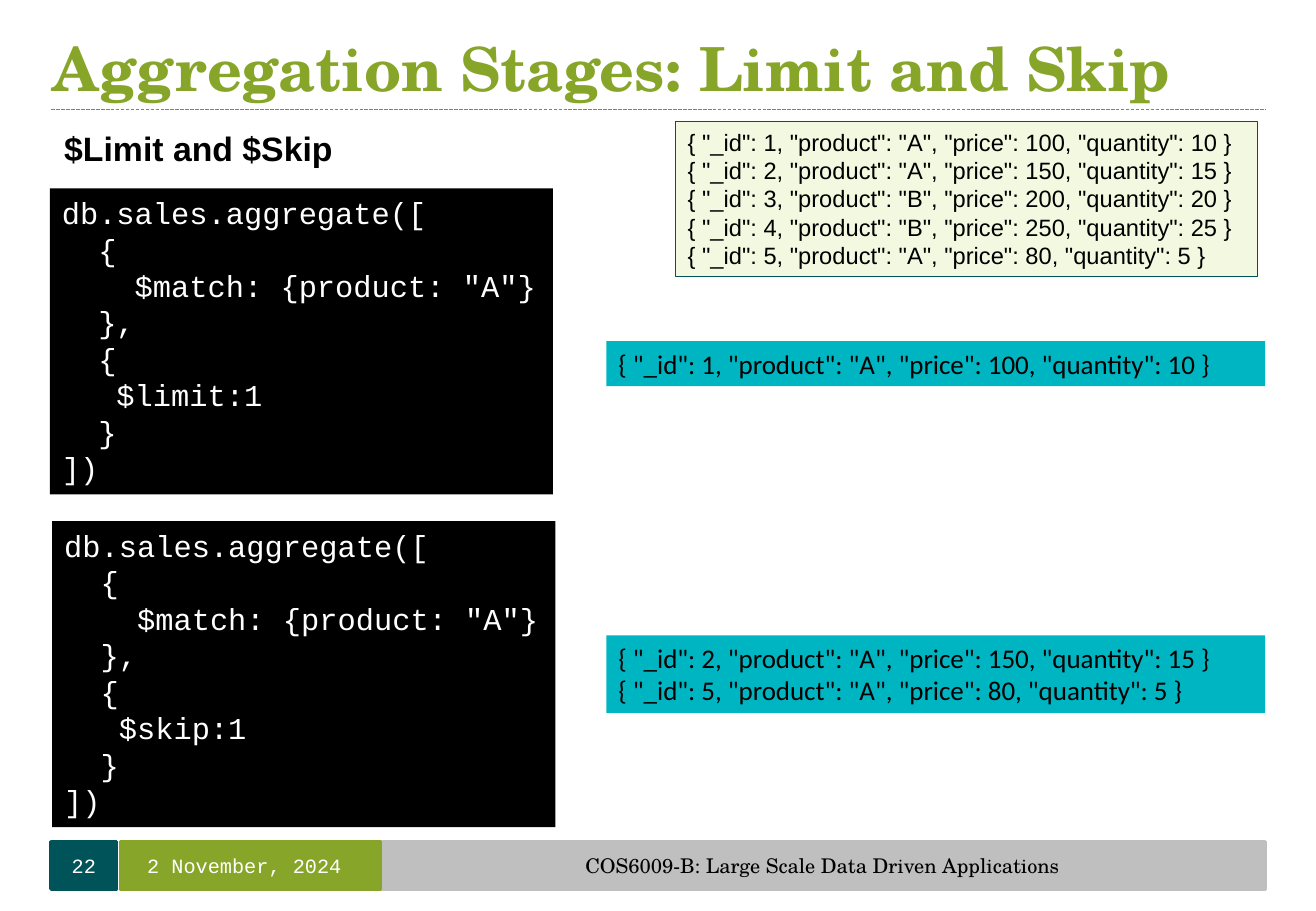
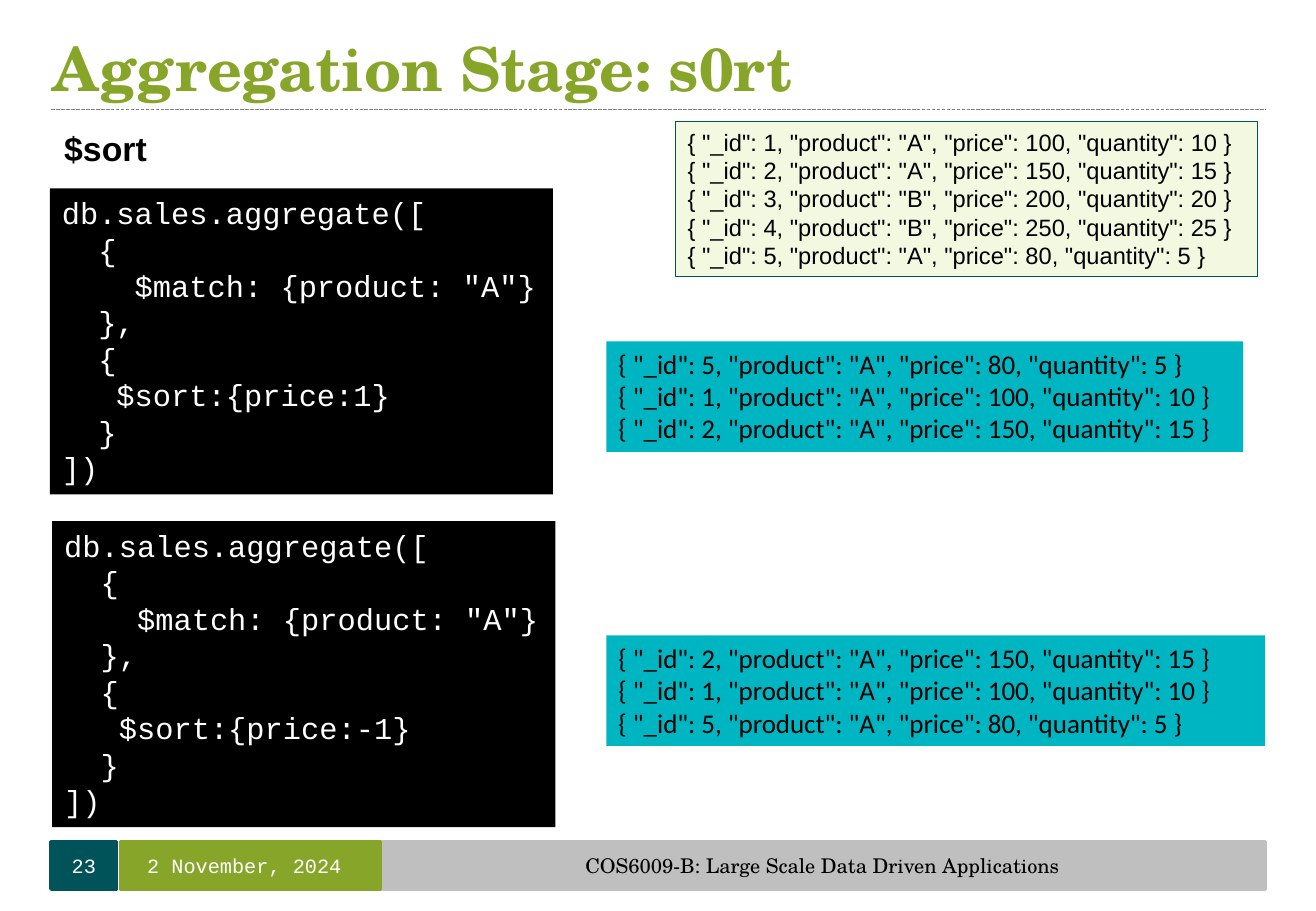
from dataclasses import dataclass

from lxml.etree import SubElement
from pptx import Presentation
from pptx.dml.color import RGBColor
from pptx.enum.dml import MSO_LINE
from pptx.enum.shapes import MSO_CONNECTOR, MSO_SHAPE
from pptx.enum.text import MSO_ANCHOR, MSO_AUTO_SIZE, PP_ALIGN
from pptx.oxml.ns import qn
from pptx.util import Inches, Pt

COLORS = {
    "teal": "005359", "green": "87A529", "grey": "BFBFBF", "rule": "7F7F7F",
    "cream": "F2F9E0", "cyan": "00B5C2", "black": "000000", "white": "FFFFFF",
}
SERIF, SANS, MONO, BODY = "TeX Gyre Schola", "Arial", "Courier New", "Calibri"
INSETS = (0.1, 0.05, 0.1, 0.05)
FLUSH = (0, 0, 0, 0)
CODE_SIZE = 18
CODE_CHAR = 0.6 * CODE_SIZE
DATE = "2 November, 2024"
COURSE = "COS6009-B: Large Scale Data Driven Applications"

SALES = {1: ("A", 100, 10), 2: ("A", 150, 15), 3: ("B", 200, 20),
         4: ("B", 250, 25), 5: ("A", 80, 5)}

SLIDES = [
    {"number": 22, "title": "Aggregation Stages: Limit and Skip",
     "heading": "$Limit and $Skip",
     "examples": [("$limit:1", [1], 54.2), ("$skip:1", [2, 5], 54.2)]},
    {"number": 23, "title": "Aggregation Stage: s0rt", "heading": "$sort",
     "examples": [("$sort:{price:1}", [5, 1, 2], 52.4),
                  ("$sort:{price:-1}", [2, 1, 5], 54.2)]},
]


@dataclass
class Box:
    x: float
    y: float
    w: float
    h: float

    def share(self, x, y, w, h):
        return Box(self.x + self.w * x / 100, self.y + self.h * y / 100,
                   self.w * w / 100, self.h * h / 100)

    def emu(self):
        return [Inches(v) for v in (self.x, self.y, self.w, self.h)]


PAGE = Box(0, 0, 10.83, 7.5)


def rgb(name):
    return RGBColor.from_string(COLORS[name])


def write(sp, lines, font=SANS, size=12, color="black", bold=False,
          align=PP_ALIGN.LEFT, anchor=MSO_ANCHOR.TOP, insets=INSETS,
          spacing=None, indents=None):
    tf = sp.text_frame
    tf.word_wrap = True
    tf.auto_size = MSO_AUTO_SIZE.NONE
    tf.vertical_anchor = anchor
    tf.margin_left, tf.margin_top, tf.margin_right, tf.margin_bottom = map(Inches, insets)
    for i, line in enumerate(lines):
        p = tf.paragraphs[0] if i == 0 else tf.add_paragraph()
        p.alignment = align
        if spacing:
            p.line_spacing = Pt(spacing * size)
        if indents:
            p._p.get_or_add_pPr().set("marL", str(Pt(indents[i])))
        r = p.add_run()
        r.text = line
        r.font.name, r.font.size, r.font.bold = font, Pt(size), bold
        r.font.color.rgb = rgb(color)


def panel(s, box, fill, line=None, width=0.75):
    sp = s.shapes.add_shape(MSO_SHAPE.RECTANGLE, *box.emu())
    sp.shadow.inherit = False
    sp.fill.solid()
    sp.fill.fore_color.rgb = rgb(fill)
    if line:
        sp.line.color.rgb = rgb(line)
        sp.line.width = Pt(width)
    else:
        sp.line.fill.background()
    return sp


def documents(ids):
    return ['{ "_id": %d, "product": "%s", "price": %d, "quantity": %d }' % (i, *SALES[i])
            for i in ids]


def header(s, box, title):
    sp = s.shapes.title
    sp.left, sp.top, sp.width, sp.height = box.share(0.1, 14.4, 92.7, 93.3).emu()
    write(sp, [title], font=SERIF, size=36, color="green", bold=True,
          anchor=MSO_ANCHOR.MIDDLE, insets=FLUSH)
    x, y, w, h = box.emu()
    rule = s.shapes.add_connector(MSO_CONNECTOR.STRAIGHT, x, y + h, x + w, y + h)
    rule.line.color.rgb = rgb("rule")
    rule.line.width = Pt(0.75)
    rule.line.dash_style = MSO_LINE.SQUARE_DOT
    SubElement(rule._element.spPr, qn("a:effectLst"))


def footer(s, box, number):
    bands = [
        (0, 5.4, "teal", str(number), MONO, "white", FLUSH),
        (27.13, 72.87, "grey", COURSE, SERIF, "black", (0.12, 0, 0.12, 0)),
        (5.7, 21.43, "green", DATE, MONO, "white", (0, 0, 0.1, 0)),
    ]
    for x, w, fill, text, font, color, insets in bands:
        sp = panel(s, box.share(x, 0, w, 100), fill, line=fill, width=2)
        write(sp, [text], font=font, color=color, align=PP_ALIGN.CENTER,
              anchor=MSO_ANCHOR.MIDDLE, insets=insets)


def code(s, box, stage):
    rows = [(0, "db.sales.aggregate(["), (2, "{"), (4, '$match: {product: "A"}'),
            (2, "},"), (2, "{"), (3, stage), (2, "}"), (0, "])")]
    write(panel(s, box, "black"), [text for _, text in rows], font=MONO,
          size=CODE_SIZE, color="white", spacing=1.2,
          indents=[n * CODE_CHAR for n, _ in rows])


def content(s, box, heading, examples):
    sp = s.shapes.add_textbox(*box.share(0.2, 0, 27, 7.57).emu())
    write(sp, [heading], size=20, bold=True)
    source = panel(s, box.share(51.5, 0, 47.9, 22.03), "cream", line="teal")
    write(source, documents(SALES), size=14, spacing=1.2)
    for i, (stage, ids, width) in enumerate(examples):
        code(s, box.share(0.2 * i, 9.47 + 47.16 * i, 41.4, 43.37), stage)
        result = box.share(45.8, 31.15 + 41.66 * i, width, 1.72 + 4.65 * len(ids))
        write(panel(s, result, "cyan"), documents(ids), font=BODY, size=16, spacing=1.2)


def build(prs, number, title, heading, examples):
    s = prs.slides.add_slide(prs.slide_layouts[5])
    header(s, PAGE.share(3.88, 0, 92.34, 12), title)
    content(s, PAGE.share(3.79, 13.33, 92.34, 77.47), heading, examples)
    footer(s, PAGE.share(3.88, 92.4, 92.24, 5.2), number)


def main():
    prs = Presentation()
    prs.slide_width, prs.slide_height = Inches(PAGE.w), Inches(PAGE.h)
    for slide in SLIDES:
        build(prs, **slide)
    prs.save("out.pptx")


if __name__ == "__main__":
    main()
